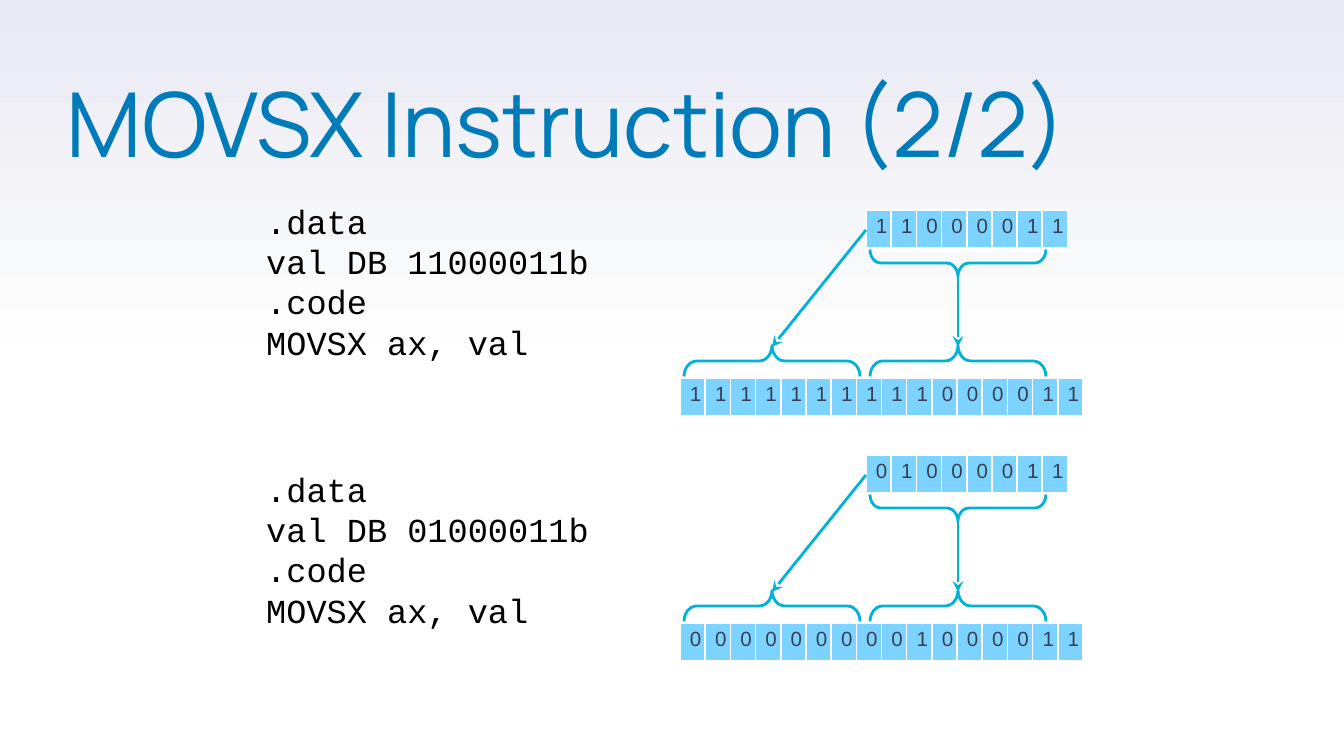
from lxml import etree
from pptx import Presentation
from pptx.dml.color import RGBColor
from pptx.enum.shapes import MSO_CONNECTOR, MSO_SHAPE
from pptx.enum.text import MSO_ANCHOR, PP_ALIGN
from pptx.oxml.ns import qn
from pptx.util import Pt

PX = 914400 / 134.4
BRACE = MSO_SHAPE.LEFT_BRACE
STRAIGHT = MSO_CONNECTOR.STRAIGHT
TOP = MSO_ANCHOR.TOP
LEFT, CENTER = PP_ALIGN.LEFT, PP_ALIGN.CENTER

WHITE = RGBColor(0xFF, 0xFF, 0xFF)
BLACK = RGBColor(0, 0, 0)
HAZE = RGBColor(0xE9, 0xEA, 0xF2)
BLUE = RGBColor(0x00, 0x7B, 0xB9)
SKY = RGBColor(0x7D, 0xD3, 0xFF)
CYAN = RGBColor(0x00, 0xB1, 0xD8)
SLATE = RGBColor(0x3A, 0x3F, 0x50)

TITLE = {"name": "Manrope", "size": Pt(48), "color": BLUE}
CODE = {"name": "Courier New", "size": Pt(18), "color": BLACK}
BIT = {"name": "Arial", "size": Pt(11), "color": SLATE}
EDGES = {"a:lnL": 1, "a:lnR": 1, "a:lnT": 1, "a:lnB": 3}

# Bits of the byte, bits of the word, top of the code, top of the diagram
CASES = [
    ("11000011", "1111111111000011", 194, 210),
    ("01000011", "0000000001000011", 462, 455),
]
COL, ROW = 24, 40
HIGH, LOW = 772, 958  # centres of the two halves of the word


def px(*vals):
    return [round(v * PX) for v in vals]


def style(par, font):
    for key, val in font.items():
        if key == "color":
            par.font.color.rgb = val
        else:
            setattr(par.font, key, val)


def backdrop(slide):
    fill = slide.background.fill
    fill.gradient()
    fill.gradient_angle = 90
    for stop, pos, color in zip(fill.gradient_stops, (0.5, 1), (WHITE, HAZE)):
        stop.position = pos
        stop.color.rgb = color


def heading(slide, text):
    title = slide.shapes.title
    title.left, title.top, title.width, title.height = px(67, 89, 1204, 159)
    frame = title.text_frame
    for side in ("left", "top", "right", "bottom"):
        setattr(frame, f"margin_{side}", 0)
    frame.vertical_anchor = TOP
    frame.text = text
    par = frame.paragraphs[0]
    par.alignment = LEFT
    par.line_spacing = 0.8
    style(par, TITLE)


def code(slide, top, lines):
    frame = slide.shapes.add_textbox(*px(253, top, 351, 176)).text_frame
    frame.word_wrap = False
    frame.text = "\n".join(lines)
    for par in frame.paragraphs:
        style(par, CODE)


def border(cell):
    props = cell._tc.get_or_add_tcPr()
    for spot, (tag, width) in enumerate(EDGES.items()):
        line = etree.Element(qn(tag), w=str(Pt(width)))
        solid = etree.SubElement(line, qn("a:solidFill"))
        etree.SubElement(solid, qn("a:srgbClr"), val=str(WHITE))
        props.insert(spot, line)


def bits(slide, left, top, digits):
    count = len(digits)
    frame = slide.shapes.add_table(1, count, *px(left, top, COL * count, ROW))
    table = frame.table
    table.first_row = table.horz_banding = False
    for col, digit in enumerate(digits):
        table.columns[col].width = px(COL)[0]
        cell = table.cell(0, col)
        cell.margin_left, cell.margin_right = px(10, 10)
        cell.margin_top, cell.margin_bottom = px(5, 5)
        cell.fill.solid()
        cell.fill.fore_color.rgb = SKY
        border(cell)
        cell.text = digit
        par = cell.text_frame.paragraphs[0]
        par.alignment = CENTER
        style(par, BIT)


def stroke(line):
    line.color.rgb = CYAN
    line.width = Pt(1.5)


def brace(slide, mid, row, depth, turn):
    span = 176
    box = px(mid - depth / 2, row - span / 2, depth, span)
    shape = slide.shapes.add_shape(BRACE, *box)
    shape.rotation = turn
    shape.adjustments[0] = 0.41
    shape.shadow.inherit = False
    shape.fill.background()
    stroke(shape.line)


def arrow(slide, *ends):
    link = slide.shapes.add_connector(STRAIGHT, *px(*ends))
    stroke(link.line)
    etree.SubElement(link.line._get_or_add_ln(), qn("a:tailEnd"), type="stealth")
    etree.SubElement(link._element.spPr, qn("a:effectLst"))


def diagram(slide, top, byte, word):
    bits(slide, 680, top + 168, word)
    bits(slide, 866, top, byte)
    # The byte is copied into the low half
    brace(slide, LOW, top + 53, 27, 270)
    brace(slide, LOW, top + 151, 31, 90)
    arrow(slide, LOW, top + 66, LOW, top + 137)
    # The sign bit fills the high half
    brace(slide, HIGH, top + 151, 31, 90)
    arrow(slide, 866, top + 20, HIGH, top + 137)


def main():
    deck = Presentation()
    deck.slide_width, deck.slide_height = px(1344, 756)
    slide = deck.slides.add_slide(deck.slide_layouts[5])
    backdrop(slide)
    heading(slide, "MOVSX Instruction (2/2)")
    for byte, word, text_top, top in CASES:
        code(slide, text_top, [".data", f"val DB {byte}b", ".code", "MOVSX ax, val"])
        diagram(slide, top, byte, word)
    deck.save("out.pptx")


if __name__ == "__main__":
    main()
